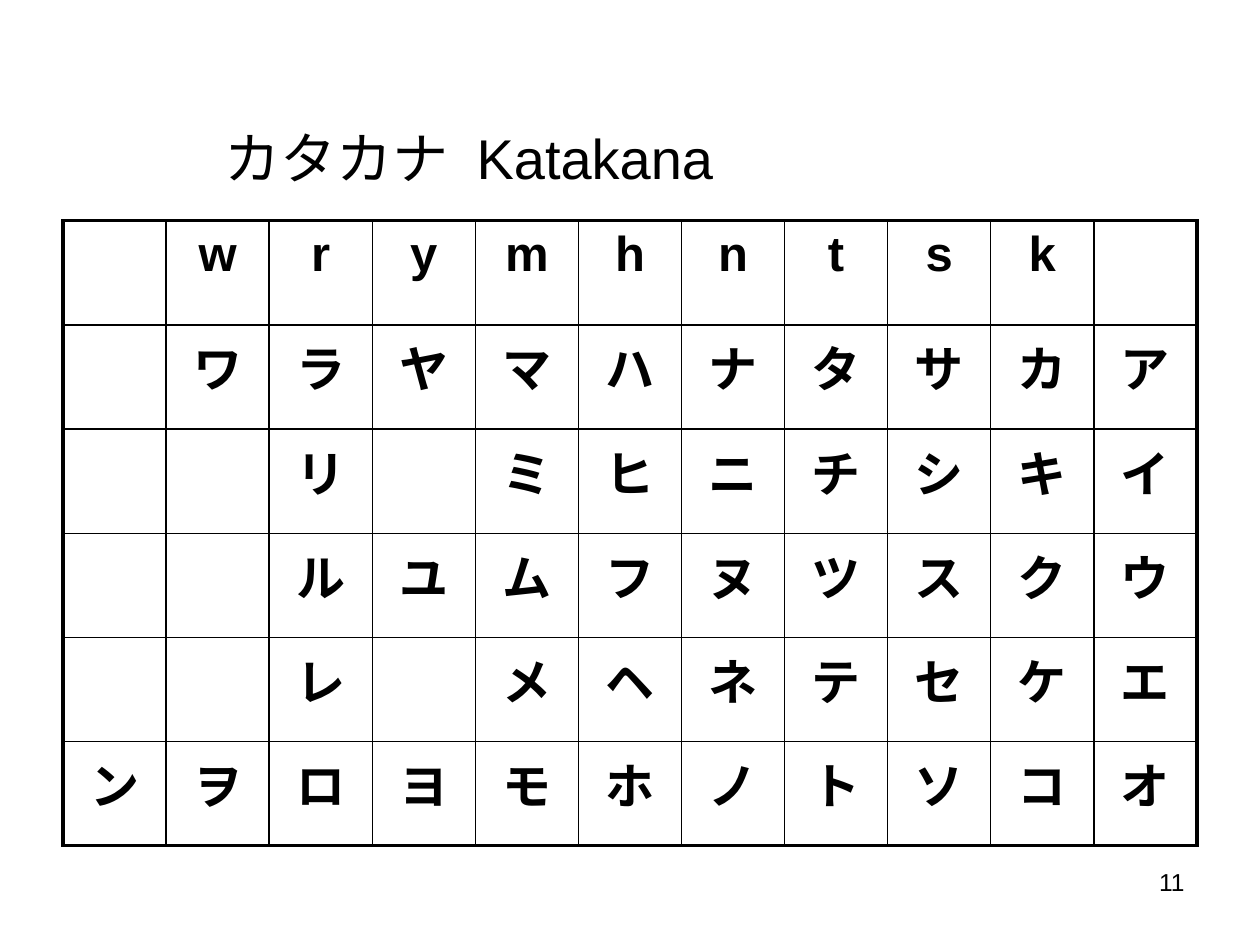
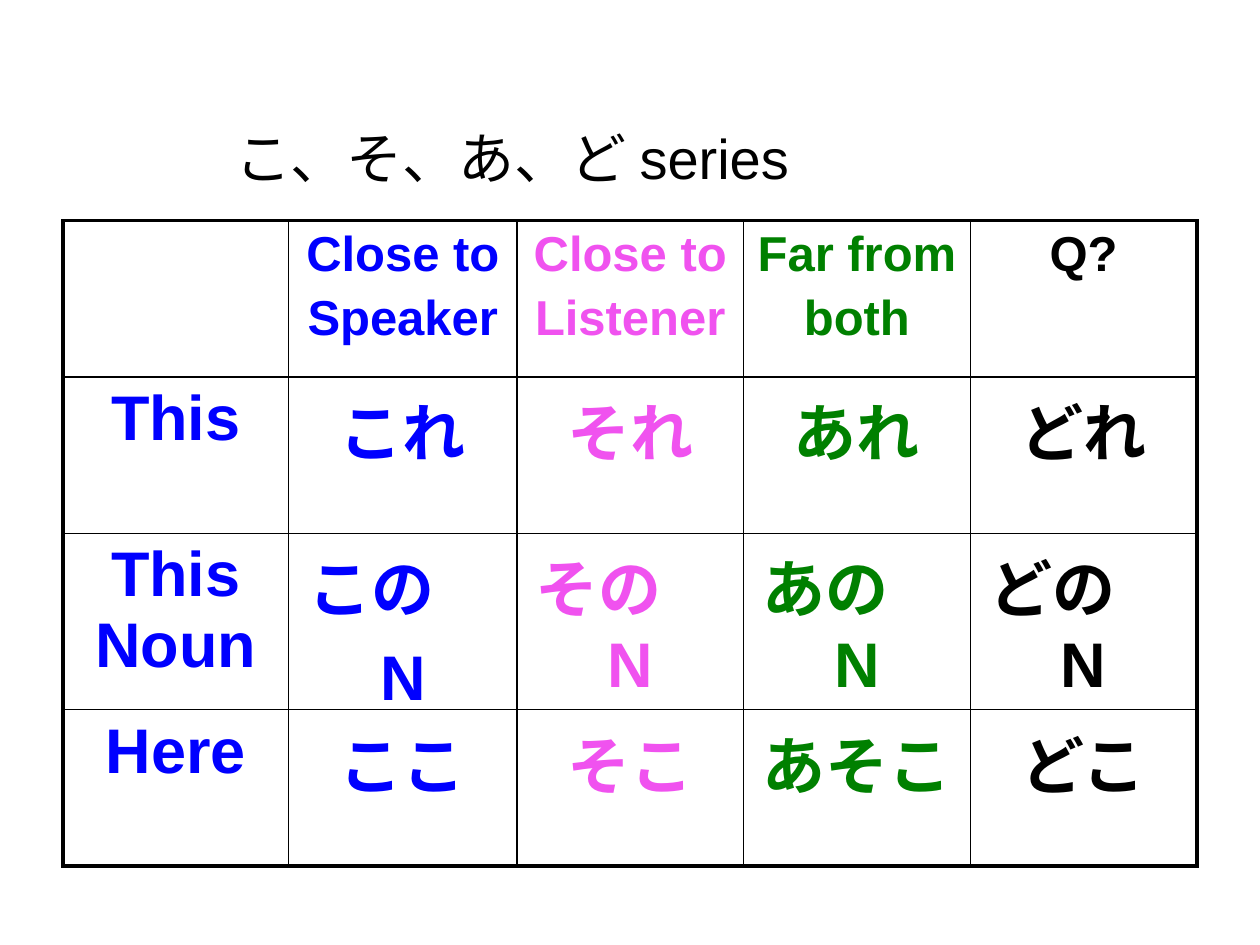
from dataclasses import dataclass
from lxml.etree import SubElement
from pptx import Presentation
from pptx.dml.color import RGBColor
from pptx.enum.text import MSO_ANCHOR, PP_ALIGN
from pptx.oxml import parse_xml
from pptx.oxml.ns import nsdecls, qn
from pptx.util import Cm, Pt


@dataclass(frozen=True)
class Theme:
    black: str = "000000"
    blue: str = "0000FF"
    pink: str = "F052EF"
    green: str = "008000"
    latin: str = "Arial"
    kana: str = "Noto Sans CJK JP"
    title: int = 32
    large: int = 36
    body: int = 28
    small: int = 14
    thin: float = 1
    thick: float = 2.25
    lead: float = 0.2


THEME = Theme()
LEFT, TOP, WIDTH = 1.27, 4.45, 22.86

KANA = [
    "_wrymhntsk_",
    "_ワラヤマハナタサカア",
    "__リ_ミヒニチシキイ",
    "__ルユムフヌツスクウ",
    "__レ_メヘネテセケエ",
    "ンヲロヨモホノトソコオ",
]

SERIES = [
    ["", "Close to\nSpeaker", "Close to\nListener", "Far from\nboth", "Q?"],
    ["This", "これ", "それ", "あれ", "どれ"],
    ["This Noun", "この　\nN", "その　N", "あの　N", "どの　N"],
    ["Here", "ここ", "そこ", "あそこ", "どこ"],
]


def write(para, text, size=THEME.body, color=THEME.black, bold=False,
          font=THEME.latin, gap=0):
    run = para.add_run()
    run.text = text
    run.font.size = Pt(size)
    run.font.bold = bold
    run.font.name = font
    run.font.color.rgb = RGBColor.from_string(color)
    props = run.font._element
    SubElement(props, qn("a:ea")).set("typeface", THEME.kana)
    if gap:
        props.set("spc", str(round(gap * 100)))


def add_box(slide, left, top, width, height, anchor=MSO_ANCHOR.TOP):
    box = slide.shapes.add_textbox(Cm(left), Cm(top), Cm(width), Cm(height))
    frame = box.text_frame
    frame.word_wrap = True
    frame.vertical_anchor = anchor
    return frame.paragraphs[0]


def add_title(slide, left, parts):
    para = add_box(slide, left, 0.8, LEFT + WIDTH - left, 3.18, MSO_ANCHOR.BOTTOM)
    for text, form in parts:
        write(para, text, size=THEME.title, **form)


def add_page(slide, number):
    para = add_box(slide, 18.21, 17.35, 5.92, 1.32)
    para.alignment = PP_ALIGN.RIGHT
    write(para, number, size=THEME.small)


def fill_cell(cell, text, size, color):
    frame = cell.text_frame
    for index, line in enumerate(text.split("\n")):
        para = frame.add_paragraph() if index else frame.paragraphs[0]
        para.alignment = PP_ALIGN.CENTER
        if index:
            para.space_before = Pt(size * THEME.lead)
        write(para, line, size=size, color=color, bold=True)


def edge_cell(cell, outer):
    cell.fill.background()
    props = cell._tc.get_or_add_tcPr()
    for index, side in enumerate("LRTB"):
        width = Pt(THEME.thick if side in outer else THEME.thin)
        props.insert(index, parse_xml(
            f'<a:ln{side} {nsdecls("a")} w="{width}"><a:solidFill>'
            f'<a:srgbClr val="{THEME.black}"/></a:solidFill></a:ln{side}>'))


def add_grid(slide, rows, widths, height, style):
    count, last = len(rows), len(widths) - 1
    frame = slide.shapes.add_table(count, len(widths), Cm(LEFT), Cm(TOP),
                                   Cm(WIDTH), Cm(height * count))
    table = frame.table
    table.first_row = table.horz_banding = False
    for column, width in zip(table.columns, widths):
        column.width = Cm(width)
    for r, row in enumerate(rows):
        table.rows[r].height = Cm(height)
        for c, text in enumerate(row):
            cell = table.cell(r, c)
            ends = {"L": c == 0, "R": c == last, "T": r == 0, "B": r == count - 1}
            edge_cell(cell, [side for side, end in ends.items() if end])
            if text.strip("_"):
                fill_cell(cell, text, *style(r, c))


def kana_style(row, column):
    return THEME.body, THEME.black


def series_style(row, column):
    colors = [THEME.blue, THEME.blue, THEME.pink, THEME.green, THEME.black]
    return (THEME.large if row else THEME.body), colors[column]


def main():
    deck = Presentation()
    deck.slide_width, deck.slide_height = Cm(25.4), Cm(19.05)
    blank = deck.slide_layouts[6]

    slide = deck.slides.add_slide(blank)
    add_title(slide, 4.27, [("カタカナ", {}), (" ", {"gap": 8.9}), ("Katakana", {})])
    add_grid(slide, KANA, [WIDTH / 11] * 11, 2.1, kana_style)
    add_page(slide, "11")

    slide = deck.slides.add_slide(blank)
    add_title(slide, 4.5, [("こ、そ、あ、ど ", {"font": THEME.kana}), ("series", {})])
    add_grid(slide, SERIES, [4.55, 4.6] + [4.57] * 3, 3.15, series_style)

    deck.save("out.pptx")


if __name__ == "__main__":
    main()
